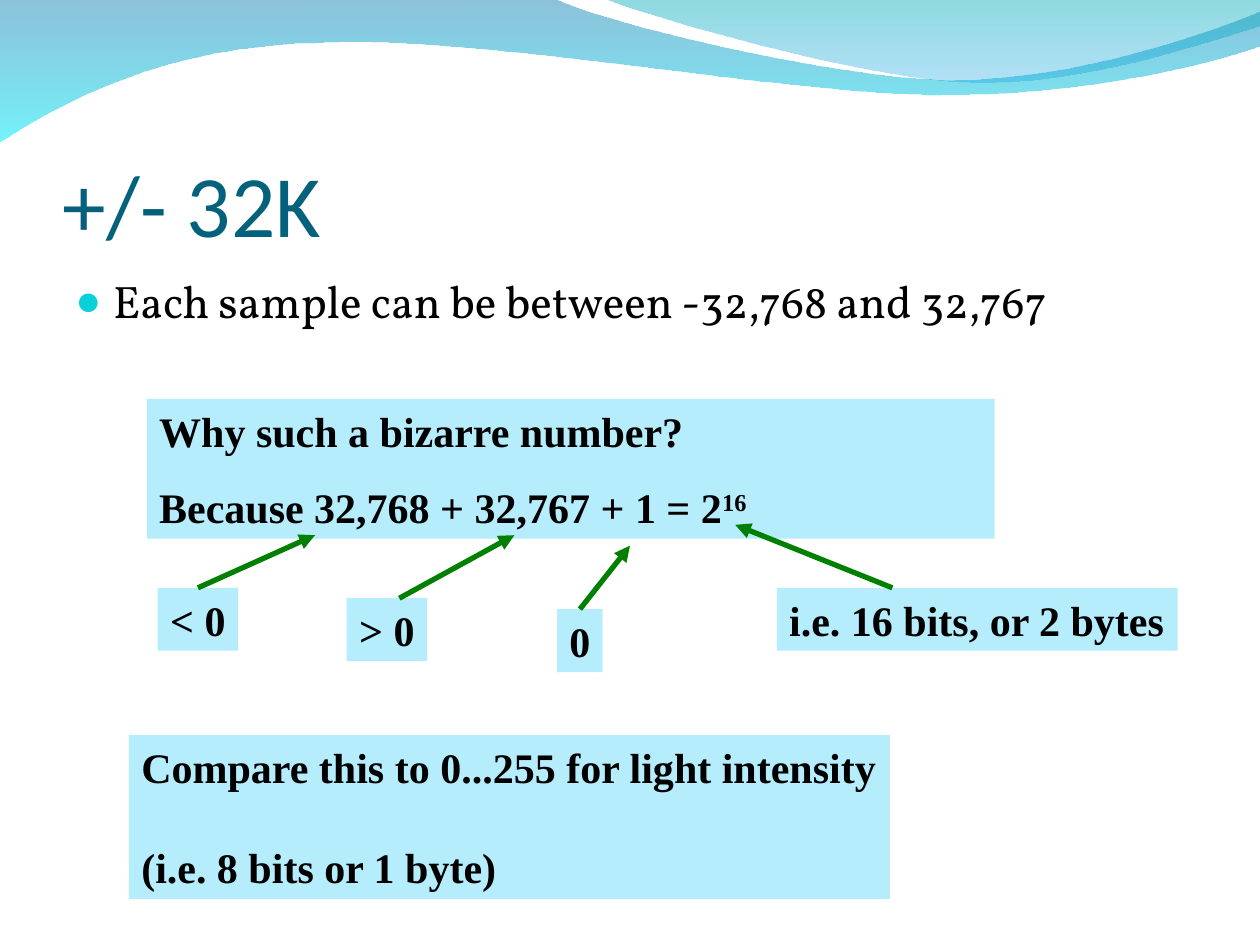
from dataclasses import dataclass

import pptx
import pptx.dml.color
import pptx.enum.dml
import pptx.enum.shapes
import pptx.enum.text
import pptx.oxml
import pptx.oxml.ns
import pptx.util
from pptx.util import Cm, Pt

Point = tuple[float, float]
Box = tuple[float, float, float, float]

PANEL, ARROW, BLACK = "B5EDFD", "008000", "000000"
TITLE = {"name": "Calibri", "size": Pt(50), "color": "04617B"}
BODY = {"name": "Vollkorn", "size": Pt(26), "color": BLACK}
NOTE = {"name": "Times New Roman", "size": Pt(24), "bold": True, "color": BLACK}


@dataclass
class Wave:
    start: Point
    segments: list[tuple[Point, ...]]  # one point: line, three points: Bézier curve
    stops: list[tuple[str, int]]  # colour and opacity in percent


@dataclass
class Panel:
    box: Box
    lines: list[str]
    spacing: float = 0
    wrap: bool = False
    superscript: str = ""


@dataclass
class Arrow:
    panel: int
    start: Point
    end: Point
    joined: bool


# Lengths are in centimetres
WAVES = [
    Wave((0, -0.03),
         [((11.18, -0.03),),
          ((12.09, 0.43), (16.87, 1.6), (19.25, 1.6)),
          ((21.67, 1.6), (24.33, 0.66), (25.4, 0.23)),
          ((25.43, 0.91),),
          ((24.97, 1.12), (22.1, 1.93), (18.95, 1.91)),
          ((15.8, 1.91), (9.7, 0.71), (6.53, 0.86)),
          ((3.28, 0.89), (1.17, 2.11), (-0.03, 2.87))],
         [("0079AF", 45), ("00EBF8", 55)]),
    Wave((12.17, -0.03),
         [((12.93, 0.28), (17.32, 1.57), (19.53, 1.65)),
          ((21.74, 1.75), (24.41, 0.81), (25.4, 0.53)),
          ((25.4, 0),)],
         [("00ADB6", 45), ("009BE5", 30)]),
]
PANELS = [
    Panel((2.6, 14.82, 15.34, 3.3),
          ["Compare this to 0...255 for light intensity", "(i.e. 8 bits or 1 byte)"],
          spacing=28.5),
    Panel((2.96, 8.04, 17.09, 2.82),
          ["Why such a bizarre number?", "Because 32,768 + 32,767 + 1 = 2"],
          spacing=15, wrap=True, superscript="16"),
    Panel((15.66, 11.85, 8.08, 1.27), ["i.e. 16 bits, or 2 bytes"]),
    Panel((3.18, 11.85, 1.62, 1.27), ["< 0"]),
    Panel((6.99, 12.06, 1.62, 1.27), ["> 0"]),
    Panel((11.23, 12.28, 0.92, 1.27), ["0"]),
]
ARROWS = [
    Arrow(2, (17.99, 11.85), (14.82, 10.58), False),
    Arrow(3, (4.02, 11.85), (6.35, 10.79), True),
    Arrow(4, (8.05, 12.06), (10.37, 10.79), False),
    Arrow(5, (11.64, 12.28), (12.7, 11), True),
]


def rgb(value: str) -> pptx.dml.color.RGBColor:
    return pptx.dml.color.RGBColor.from_string(value)


def element(xml: str):
    tag, rest = xml.split(" ", 1)
    return pptx.oxml.parse_xml(f"<a:{tag} {pptx.oxml.ns.nsdecls('a')} {rest}/>")


def set_format(target, values: dict) -> None:
    for name, value in values.items():
        if name == "color":
            target.color.rgb = rgb(value)
        else:
            setattr(target, name, value)


def add_run(paragraph, text: str, style: dict):
    run = paragraph.add_run()
    run.text = text
    set_format(run.font, style)
    return run


def curve_segments(shape, segments: list[tuple[Point, ...]]) -> None:
    """Turn each run of three line steps into one Bézier curve."""
    steps = iter(shape._element.spPr.findall(".//" + pptx.oxml.ns.qn("a:lnTo")))
    for segment in segments:
        lines = [next(steps) for _ in segment]
        if len(lines) == 3:
            curve = element("cubicBezTo ")
            lines[0].addprevious(curve)
            for line in lines:
                curve.append(line[0])
                line.getparent().remove(line)


def draw_wave(slide, wave: Wave) -> None:
    points = [(Cm(x), Cm(y)) for segment in wave.segments for x, y in segment]
    builder = slide.shapes.build_freeform(*map(Cm, wave.start))
    builder.add_line_segments(points, close=True)
    shape = builder.convert_to_shape()
    curve_segments(shape, wave.segments)
    shape.shadow.inherit = False
    shape.line.fill.background()
    shape.fill.gradient()
    shape.fill.gradient_angle = 270
    for stop, (color, _) in zip(shape.fill.gradient_stops, wave.stops):
        stop.color.rgb = rgb(color)
    colors = shape._element.spPr.findall(".//" + pptx.oxml.ns.qn("a:srgbClr"))
    for color_element, (_, opacity) in zip(colors, wave.stops):
        color_element.append(element(f'alpha val="{opacity * 1000}"'))


def draw_text(slide, box: Box, text: str, style: dict, frame_format: dict):
    frame = slide.shapes.add_textbox(*map(Cm, box)).text_frame
    set_format(frame, {"word_wrap": True, **frame_format})
    paragraph = frame.paragraphs[0]
    add_run(paragraph, text, style)
    return paragraph


def draw_panel(slide, panel: Panel):
    shape = slide.shapes.add_shape(pptx.enum.shapes.MSO_SHAPE.RECTANGLE,
                                   *map(Cm, panel.box))
    shape.shadow.inherit = False
    shape.fill.solid()
    shape.fill.fore_color.rgb = rgb(PANEL)
    shape.line.fill.background()
    frame = shape.text_frame
    set_format(frame, {"word_wrap": panel.wrap,
                       "auto_size": pptx.enum.text.MSO_AUTO_SIZE.SHAPE_TO_FIT_TEXT,
                       "vertical_anchor": pptx.enum.text.MSO_ANCHOR.TOP})
    for index, line in enumerate(panel.lines):
        paragraph = frame.add_paragraph() if index else frame.paragraphs[0]
        paragraph.alignment = pptx.enum.text.PP_ALIGN.LEFT
        if index:
            paragraph.space_before = Pt(panel.spacing)
        add_run(paragraph, line, NOTE)
    if panel.superscript:
        run = add_run(paragraph, panel.superscript, NOTE)
        run._r.get_or_add_rPr().set("baseline", "30000")
    return shape


def draw_arrow(slide, arrow: Arrow, panels: list) -> None:
    connector = slide.shapes.add_connector(pptx.enum.shapes.MSO_CONNECTOR.STRAIGHT,
                                           *map(Cm, arrow.start + arrow.end))
    if arrow.joined:
        connector.begin_connect(panels[arrow.panel], 0)
    set_format(connector.line, {"color": ARROW, "width": Pt(3)})
    connector.line._get_or_add_ln().append(element('tailEnd type="triangle"'))
    connector._element.spPr.append(element("effectLst "))


def main() -> None:
    presentation = pptx.Presentation()
    presentation.slide_width, presentation.slide_height = Cm(25.4), Cm(19.05)
    slide = presentation.slides.add_slide(presentation.slide_layouts[6])

    # Waves along the top
    for wave in WAVES:
        draw_wave(slide, wave)

    # Title and bullet
    draw_text(slide, (1.27, 1.96, 22.86, 3.18), "+/- 32K", TITLE,
              {"margin_left": 0, "margin_right": 0, "margin_bottom": 0,
               "vertical_anchor": pptx.enum.text.MSO_ANCHOR.BOTTOM})
    bullet = draw_text(slide, (1.27, 5.38, 22.86, 12.19),
                       "Each sample can be between -32,768 and 32,767", BODY, {})
    properties = bullet._p.get_or_add_pPr()
    properties.set("marL", str(Cm(0.76)))
    properties.set("indent", str(Cm(-0.76)))
    bullet_color = element("buClr ")
    bullet_color.append(element('srgbClr val="0BD0D9"'))
    properties.append(bullet_color)
    for mark in ('buSzPct val="95000"', 'buFont typeface="Times New Roman"',
                 'buChar char="●"'):
        properties.append(element(mark))

    # Explanations and their arrows
    panels = [draw_panel(slide, panel) for panel in PANELS]
    for arrow in ARROWS:
        draw_arrow(slide, arrow, panels)

    presentation.save("out.pptx")


if __name__ == "__main__":
    main()
